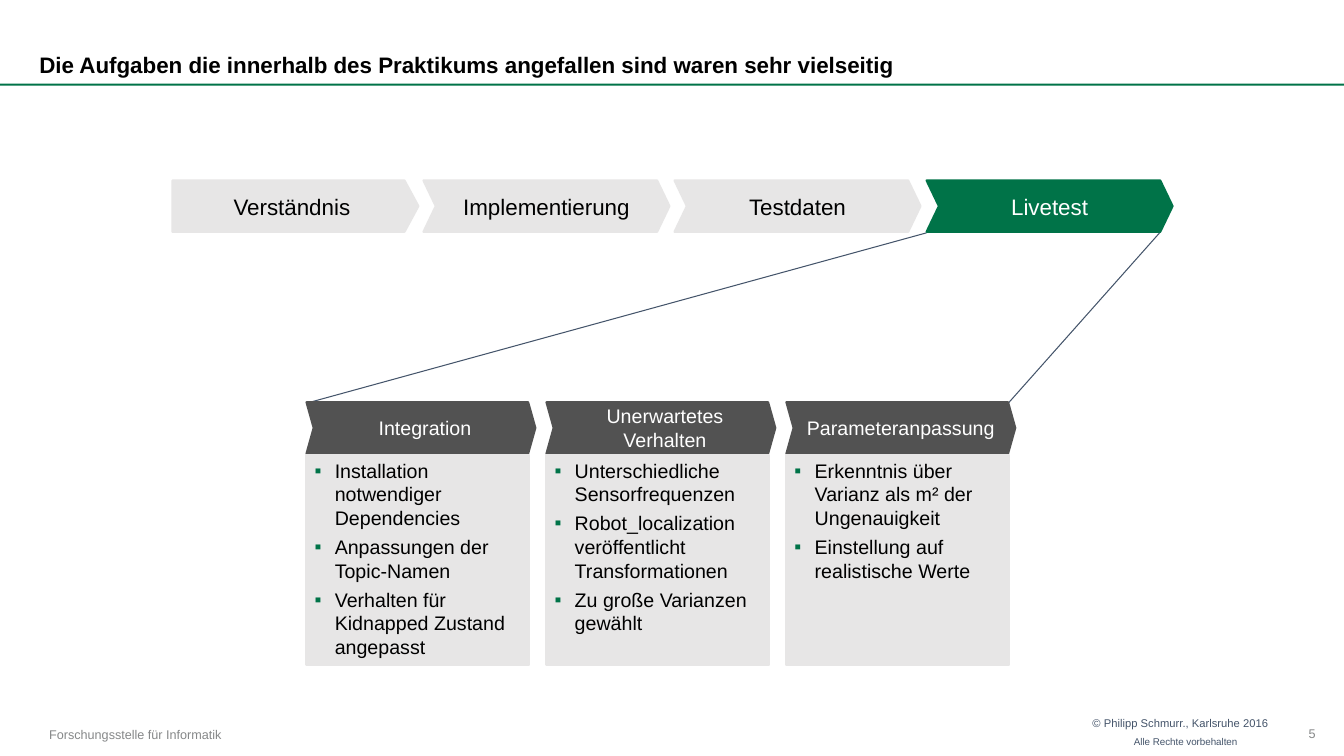
import pptx
import pptx.util
import pptx.dml.color
import pptx.enum.shapes
import pptx.enum.text
import pptx.oxml
import pptx.oxml.ns

RGB = pptx.dml.color.RGBColor
KIND = pptx.enum.shapes.MSO_SHAPE
ALIGN = pptx.enum.text.PP_ALIGN
ANCHOR = pptx.enum.text.MSO_ANCHOR
Pt = pptx.util.Pt

PX = 9144
GREEN = RGB(0x00, 0x73, 0x48)
LIGHT = RGB(0xE7, 0xE6, 0xE6)
DARK = RGB(0x52, 0x52, 0x52)
SLATE = RGB(0x44, 0x54, 0x6A)
GREY = RGB(0x86, 0x88, 0x89)
BLACK = RGB(0, 0, 0)
WHITE = RGB(255, 255, 255)

STEPS = ["Verständnis", "Implementierung", "Testdaten", "Livetest"]
TASKS = [
    ("Integration", 18, [
        "Installation notwendiger Dependencies",
        "Anpassungen der Topic-Namen",
        "Verhalten für Kidnapped Zustand angepasst"]),
    ("Unerwartetes Verhalten", 18, [
        "Unterschiedliche Sensorfrequenzen",
        "Robot_localization veröffentlicht Transformationen",
        "Zu große Varianzen gewählt"]),
    ("Parameteranpassung", 10, [
        "Erkenntnis über Varianz als m² der Ungenauigkeit",
        "Einstellung auf realistische Werte"]),
]


def px(*vals):
    """Turn px lengths into EMU."""
    return [pptx.util.Emu(val * PX) for val in vals]


def put(item, form):
    """Set each attribute of the item from a dict."""
    for key, val in form.items():
        setattr(item, key, val)


def write(shape, lines, size, color, bold=False, align=ALIGN.LEFT,
          anchor=ANCHOR.TOP, pad=(10, 5, 10, 5), wrap=True, para=None):
    """Fill a shape with formatted paragraphs and return them."""
    frame = shape.text_frame
    frame.text = "\n".join(lines)
    sides = ("margin_left", "margin_top", "margin_right", "margin_bottom")
    put(frame, {"word_wrap": wrap, "vertical_anchor": anchor,
                **dict(zip(sides, px(*pad)))})
    for part in frame.paragraphs:
        put(part, {"alignment": align, **(para or {})})
        for run in part.runs:
            put(run.font, {"name": "Arial", "size": Pt(size), "bold": bold})
            run.font.color.rgb = color
    return frame.paragraphs


def label(slide, box, text, size, color, **form):
    """Place a text box with one line."""
    write(slide.shapes.add_textbox(*px(*box)), [text], size, color, **form)


def block(slide, kind, box, fill, edge=1.5, adj=None):
    """Place a flat filled shape."""
    shape = slide.shapes.add_shape(kind, *px(*box))
    shape.shadow.inherit = False
    shape.fill.solid()
    shape.fill.fore_color.rgb = fill
    if edge:
        shape.line.color.rgb = fill
        shape.line.width = Pt(edge)
    else:
        shape.line.fill.background()
    if adj:
        shape.adjustments[0] = adj
    return shape


def bullet(part):
    """Give a paragraph a green square bullet."""
    props = part._p.get_or_add_pPr()
    left, hang = px(28, -20)
    props.set("marL", str(left))
    props.set("indent", str(hang))
    space = pptx.oxml.ns.nsdecls("a")
    for xml in (f'<a:buClr {space}><a:srgbClr val="{GREEN}"/></a:buClr>',
                f'<a:buFont {space} typeface="Arial"/>',
                f'<a:buChar {space} char="▪"/>'):
        props.append(pptx.oxml.parse_xml(xml))


def ray(slide, start, end):
    """Draw a thin zoom line."""
    line = slide.shapes.add_connector(
        pptx.enum.shapes.MSO_CONNECTOR.STRAIGHT, *px(*start, *end))
    line.line.color.rgb = SLATE
    line.line.width = Pt(0.75)
    space = pptx.oxml.ns.nsdecls("a")
    line._element.spPr.append(pptx.oxml.parse_xml(f"<a:effectLst {space}/>"))


def header(slide, left, top, wide, high):
    """Place the title above a green rule."""
    block(slide, KIND.RECTANGLE, (left, top + high, wide, 2), GREEN, edge=0)
    label(slide, (left, top, 1097, high),
          "Die Aufgaben die innerhalb des Praktikums angefallen sind "
          "waren sehr vielseitig", 16, BLACK, bold=True,
          anchor=ANCHOR.BOTTOM, pad=(39, 5, 10, 5),
          para={"line_spacing": 0.9})


def footer(slide, left, top, wide, high):
    """Place the institute, rights and page number."""
    mid = ANCHOR.MIDDLE
    right = left + wide
    label(slide, (left + 39, top + 1, 213, high - 1),
          "Forschungsstelle für Informatik", 9, GREY, anchor=mid)
    label(slide, (right - 262, top, 197, high),
          "© Philipp Schmurr., Karlsruhe 2016", 8, SLATE,
          align=ALIGN.RIGHT, wrap=False)
    label(slide, (right - 231, top + 19, 135, 25),
          "Alle Rechte vorbehalten", 7, SLATE, align=ALIGN.RIGHT)
    label(slide, (right - 45, top, 45, high), "5", 9, GREY, anchor=mid)


def chain(slide, left, top, wide, high):
    """Place the row of steps with the last one lit."""
    size = 244
    last = len(STEPS) - 1
    for num, name in enumerate(STEPS):
        lit = num == last
        kind, adj = (KIND.CHEVRON, 0.24) if num else (KIND.PENTAGON, 0.27)
        spot = left + num * (wide - size) // last
        step = block(slide, kind, (spot, top, size, high),
                     GREEN if lit else LIGHT, adj=adj)
        write(step, [name], 16, WHITE if lit else BLACK, wrap=lit,
              align=ALIGN.CENTER, anchor=ANCHOR.MIDDLE)


def tasks(slide, left, top, wide, high):
    """Place the columns, each a dark head over a list."""
    size, head, gap = 227, 51, 1
    pitch = (wide - size) // (len(TASKS) - 1)
    for num, (name, inset, notes) in enumerate(TASKS):
        spot = left + num * pitch
        tab = block(slide, KIND.CHEVRON, (spot, top, size, head), DARK,
                    adj=0.14)
        write(tab, [name], 14, WHITE, align=ALIGN.CENTER,
              anchor=ANCHOR.MIDDLE, pad=(inset, 5, 10, 5))
        body = block(slide, KIND.RECTANGLE,
                     (spot, top + head + gap, size - 6, high - head - gap),
                     LIGHT)
        for part in write(body, notes, 14, BLACK, pad=(0, 4, 0, 4),
                          para={"space_before": Pt(2),
                                "space_after": Pt(2)}):
            bullet(part)


def main():
    """Build the slide and save it."""
    deck = pptx.Presentation()
    deck.slide_width, deck.slide_height = px(1333, 750)
    slide = deck.slides.add_slide(deck.slide_layouts[6])
    header(slide, 0, 0, 1333, 83)
    footer(slide, 0, 706, 1333, 44)
    ray(slide, (919, 231), (304, 400))
    ray(slide, (1151, 230), (1000, 400))
    chain(slide, 171, 179, 992, 51)
    tasks(slide, 304, 399, 703, 261)
    deck.save("out.pptx")


if __name__ == "__main__":
    main()
